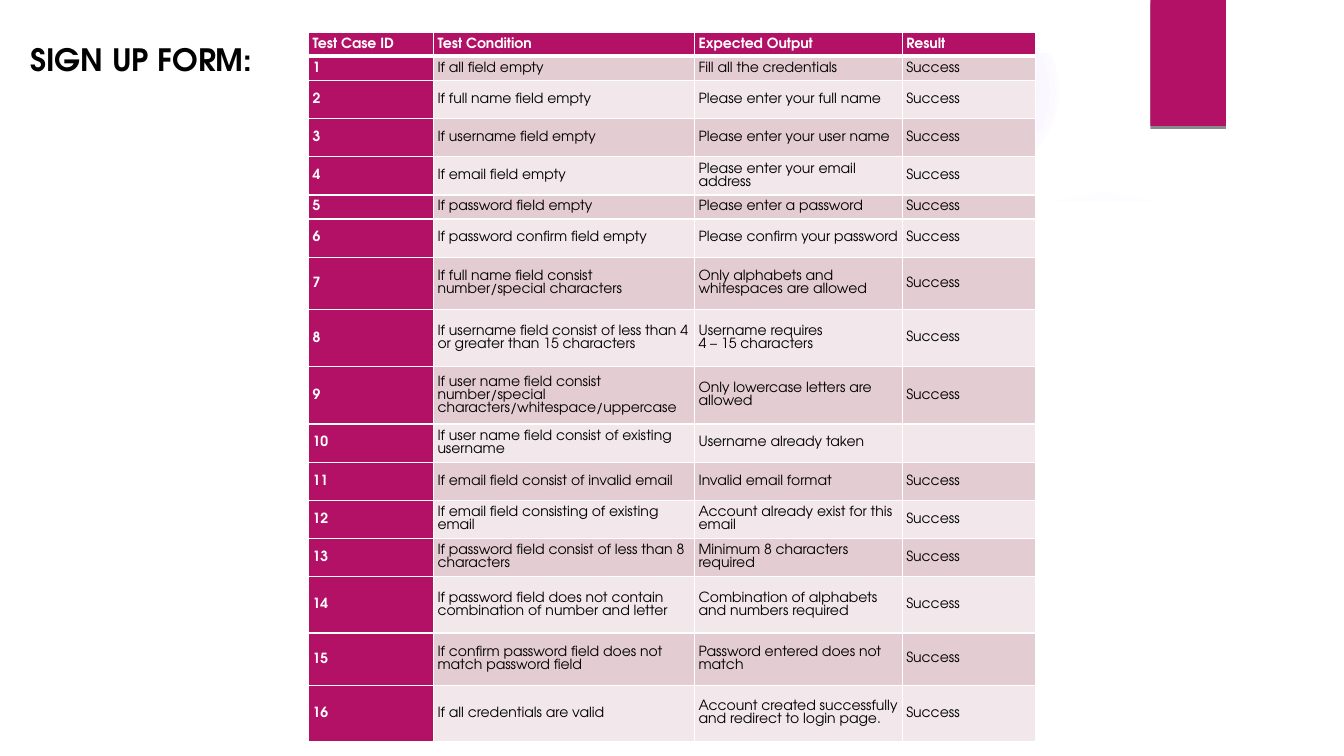
import pptx
import pptx.util
import pptx.oxml
from lxml import etree
from pptx.dml.color import RGBColor
from pptx.enum.shapes import MSO_SHAPE
from pptx.enum.text import MSO_ANCHOR, PP_ALIGN
from pptx.oxml.ns import nsdecls, qn
from pptx.util import Inches


class Theme:
    font = "TeX Gyre Adventor"
    title_size = pptx.util.Pt(22)
    table_size = pptx.util.Pt(10)
    accent = RGBColor.from_string("B31166")
    glow = RGBColor.from_string("9B6BF2")
    bands = [RGBColor.from_string("F2E7EA"), RGBColor.from_string("E4CCD3")]
    white = RGBColor.from_string("FFFFFF")
    black = RGBColor.from_string("000000")
    thin, thick = pptx.util.Pt(0.96), pptx.util.Pt(3)


def paint(shape, color, shadow=False):
    shape.shadow.inherit = False
    shape.fill.solid()
    shape.fill.fore_color.rgb = color
    shape.line.fill.background()
    if shadow:
        shape._element.spPr.find(qn("a:effectLst")).append(pptx.oxml.parse_xml(
            f'<a:outerShdw {nsdecls("a")} blurRad="0" dist="25400" dir="5400000" rotWithShape="0">'
            f'<a:srgbClr val="{Theme.black}"><a:alpha val="45000"/></a:srgbClr></a:outerShdw>'))


def style_text(frame, size, color, bold):
    for para in frame.paragraphs:
        para.alignment = PP_ALIGN.LEFT
        for span in para.runs:
            span.font.name = Theme.font
            span.font.size = size
            span.font.bold = bold
            span.font.color.rgb = color


deck = pptx.Presentation()
deck.slide_width, deck.slide_height = Inches(13.33), Inches(7.5)
page = deck.slides.add_slide(deck.slide_layouts[5])

# Soft glows: left, top, diameter, opacity at the centre, stop where it fades out
for left, top, size, opacity, fade in [(9.41, 1.83, 3.08, 7, 69), (8.75, 0.01, 1.75, 14, 73)]:
    glow = page.shapes.add_shape(MSO_SHAPE.OVAL, Inches(left), Inches(top), Inches(size), Inches(size))
    paint(glow, Theme.glow, shadow=True)
    properties = glow._element.spPr
    gradient = pptx.oxml.parse_xml(
        f'<a:gradFill {nsdecls("a")}><a:gsLst>'
        f'<a:gs pos="0"><a:srgbClr val="{Theme.glow}"><a:alpha val="{opacity * 1000}"/></a:srgbClr></a:gs>'
        f'<a:gs pos="{fade * 1000}"><a:srgbClr val="{Theme.glow}"><a:alpha val="0"/></a:srgbClr></a:gs>'
        '</a:gsLst><a:path path="circle"><a:fillToRect l="50000" t="50000" r="50000" b="50000"/></a:path>'
        '</a:gradFill>')
    properties.replace(properties.find(qn("a:solidFill")), gradient)

# Translucent swoosh and the curved white sheet below it
swoosh = [(9.34, 2.5), (10.5, 2.44), (11.7, 2.3), (12.89, 2.14), (12.83, 1.66), (12.25, 1.85),
          (11.55, 2.03), (10.75, 2.21), (9.99, 2.34), (9.3, 2.43)]
sheet = [(0.5, 7), (0.5, 2.04), (1.59, 2.18), (2.83, 2.3), (4.44, 2.41), (6.07, 2.47), (7.08, 2.48),
         (8.4, 2.46), (9.76, 2.39), (10.88, 2.3), (12, 2.17), (12.84, 2.04), (12.84, 7)]
for points, opacity in [(swoosh, 20), (sheet, 100)]:
    builder = page.shapes.build_freeform(*points[0], scale=Inches(1))
    builder.add_line_segments(points[1:])
    outline = builder.convert_to_shape()
    paint(outline, Theme.white)
    color = outline._element.spPr.find(qn("a:solidFill"))[0]
    etree.SubElement(color, qn("a:alpha")).set("val", str(opacity * 1000))

# White frame around the page
frame = page.shapes.add_shape(MSO_SHAPE.FRAME, 0, 0, deck.slide_width, deck.slide_height)
frame.adjustments[0] = 0.07
paint(frame, Theme.white)

# Accent tab with a hard shadow
tab = page.shapes.add_shape(MSO_SHAPE.RECTANGLE, Inches(11.41), 0, Inches(0.75), Inches(1.25))
paint(tab, Theme.accent, shadow=True)

# Test cases: condition, expected output, row height
headings = ["Test Case ID", "Test Condition", "Expected Output", "Result"]
cases = [
    ("If all field empty", "Fill all the credentials", 0.24),
    ("If full name field empty", "Please enter your full name", 0.38),
    ("If username field empty", "Please enter your user name", 0.38),
    ("If email field empty", "Please enter your email address", 0.38),
    ("If password field empty", "Please enter a password", 0.24),
    ("If password confirm field empty", "Please confirm your password", 0.38),
    ("If full name field consist number/special characters",
     "Only alphabets and whitespaces are allowed", 0.52),
    ("If username field consist of less than 4 or greater than 15 characters",
     "Username requires\n4 – 15 characters", 0.57),
    ("If user name field consist number/special characters/whitespace/uppercase",
     "Only lowercase letters are allowed", 0.57),
    ("If user name field consist of existing username", "Username already taken", 0.38),
    ("If email field consist of invalid email", "Invalid email format", 0.38),
    ("If email field consisting of existing email", "Account already exist for this email", 0.38),
    ("If password field consist of less than 8 characters", "Minimum 8 characters required", 0.38),
    ("If password field does not contain combination of number and letter",
     "Combination of alphabets and numbers required", 0.56),
    ("If confirm password field does not match password field", "Password entered does not match", 0.52),
    ("If all credentials are valid", "Account created successfully and redirect to login page.", 0.56),
]
untested = 10
rows, heights = [headings], [0.24]
for number, (condition, expected, height) in enumerate(cases, start=1):
    rows.append([str(number), condition, expected, "" if number == untested else "Success"])
    heights.append(height)

# Table, with the rows fitted to its height
widths = [1.24, 2.59, 2.06, 1.32]
table_height = 7.04
table = page.shapes.add_table(len(rows), len(widths), Inches(3.06), Inches(0.32),
                              Inches(sum(widths)), Inches(table_height)).table
for column, width in zip(table.columns, widths):
    column.width = Inches(width)
for row_index, texts in enumerate(rows):
    table.rows[row_index].height = Inches(heights[row_index] * table_height / sum(heights))
    for column_index, text in enumerate(texts):
        cell = table.cell(row_index, column_index)
        strong = row_index == 0 or column_index == 0
        cell.text_frame.text = text
        cell.vertical_anchor = MSO_ANCHOR.MIDDLE
        cell.margin_left = cell.margin_right = Inches(0.04)
        cell.margin_top = cell.margin_bottom = Inches(0.05)
        style_text(cell.text_frame, Theme.table_size, Theme.white if strong else Theme.black, strong)
        if not text:
            end = etree.SubElement(cell.text_frame.paragraphs[0]._p, qn("a:endParaRPr"))
            end.set("sz", str(Theme.table_size.centipoints))
        for side in "LRTB":
            under_header = (row_index, side) in [(0, "B"), (1, "T")]
            cell._tc.get_or_add_tcPr().append(pptx.oxml.parse_xml(
                f'<a:ln{side} {nsdecls("a")} w="{Theme.thick if under_header else Theme.thin}">'
                f'<a:solidFill><a:srgbClr val="{Theme.white}"/></a:solidFill></a:ln{side}>'))
        cell.fill.solid()
        cell.fill.fore_color.rgb = Theme.accent if strong else Theme.bands[row_index % 2]

# Title, brought in front of the white frame
title = page.shapes.title
title.left, title.top, title.width, title.height = Inches(0.2), Inches(0.2), Inches(9.58), Inches(0.77)
title.text_frame.text = "SIGN UP FORM:"
title.text_frame.vertical_anchor = MSO_ANCHOR.MIDDLE
style_text(title.text_frame, Theme.title_size, Theme.black, True)
page.shapes._spTree.append(title._element)

deck.save("out.pptx")
